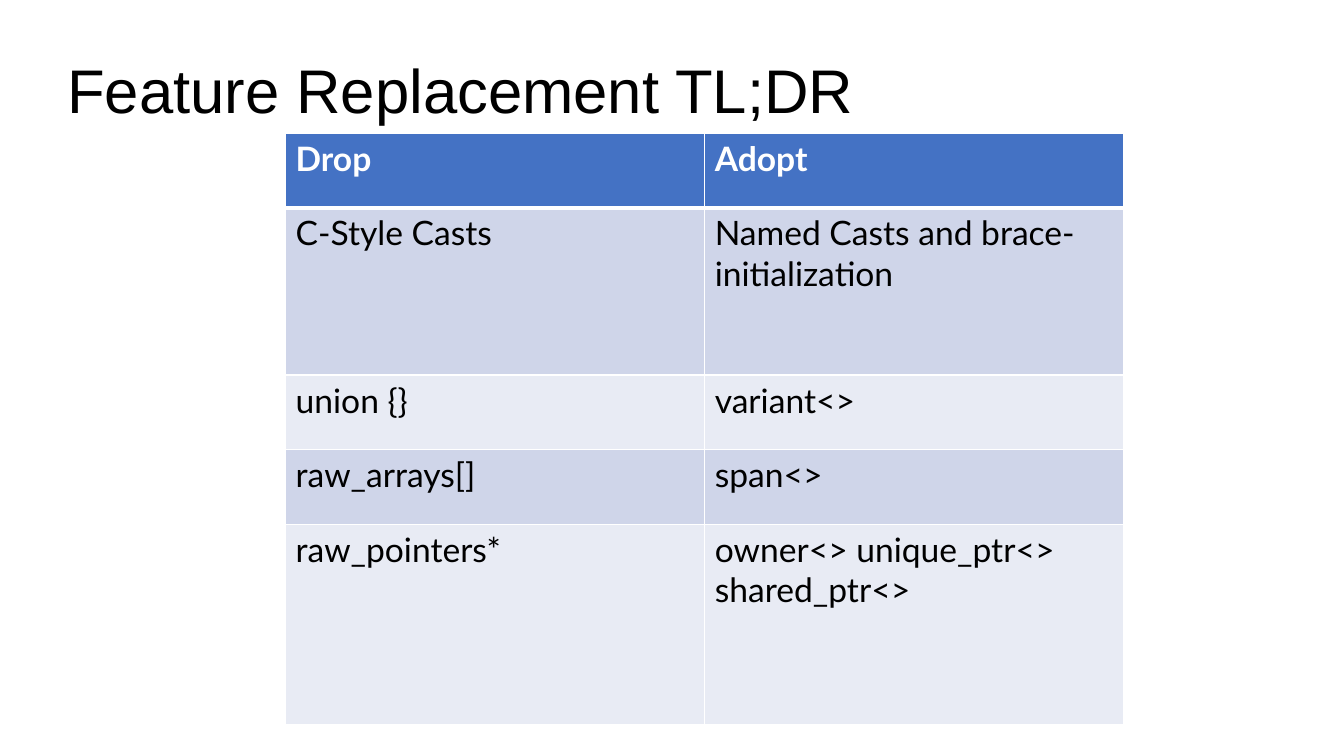
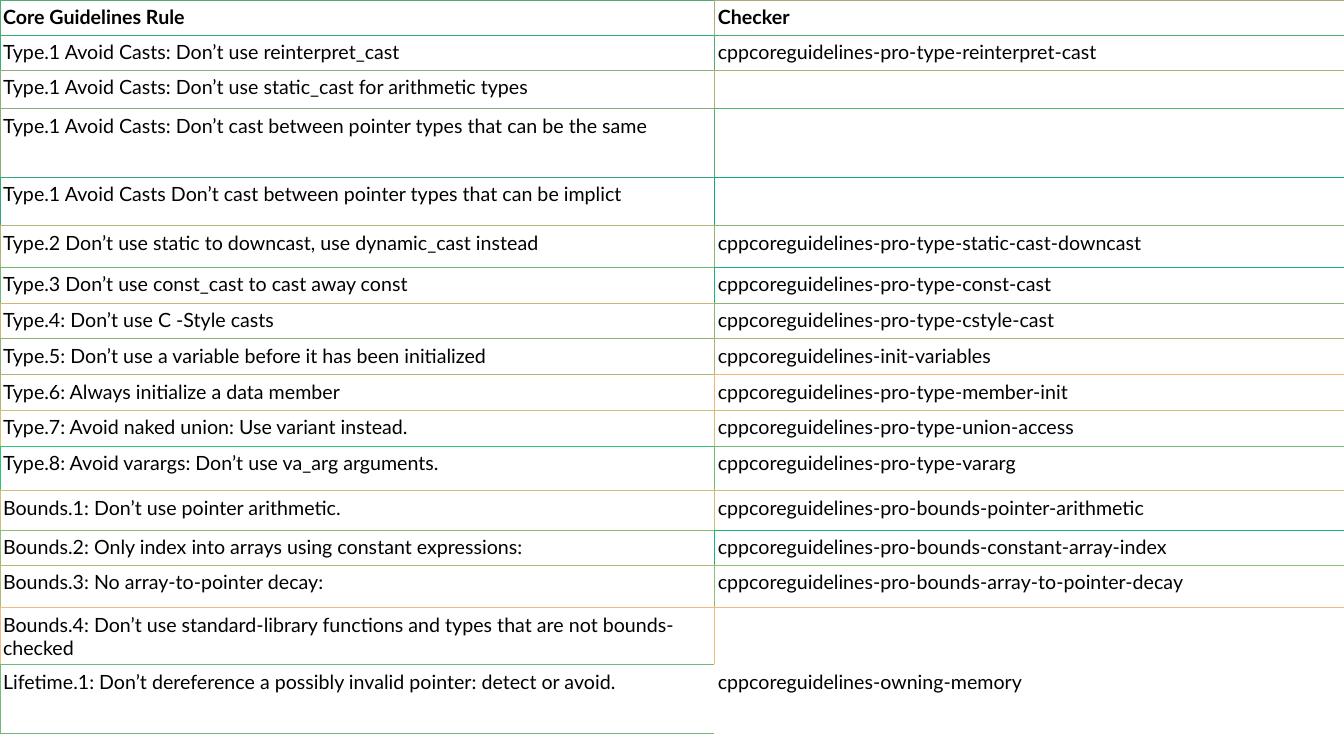
from lxml.etree import SubElement
from pptx import Presentation
from pptx.dml.color import RGBColor
from pptx.enum.text import MSO_ANCHOR, MSO_AUTO_SIZE, PP_ALIGN
from pptx.oxml.ns import qn
from pptx.util import Inches, Pt

COLUMNS, ROWS = 160, 90
SLIDE_WIDTH, SLIDE_HEIGHT = Inches(13.33), Inches(7.5)
TITLE_LAYOUT, BLANK_LAYOUT = 5, 6
TITLE_FONT, TABLE_FONT = "Arial", "Lato"

BLACK = RGBColor(0x00, 0x00, 0x00)
WHITE = RGBColor(0xFF, 0xFF, 0xFF)
HEADER_BLUE = RGBColor(0x44, 0x72, 0xC4)
BAND_DARK = RGBColor(0xCF, 0xD5, 0xE9)
BAND_LIGHT = RGBColor(0xE8, 0xEB, 0xF4)

REPLACEMENTS = [
    (8.9, "Drop", "Adopt"),
    (19.9, "C-Style Casts", "Named Casts and brace-initialization"),
    (8.9, "union {}", "variant<>"),
    (8.9, "raw_arrays[]", "span<>"),
    (23.8, "raw_pointers*", "owner<> unique_ptr<> shared_ptr<>"),
]

CHECKERS = [
    (4.2, "Core Guidelines Rule", "Checker"),
    (4.2, "Type.1 Avoid Casts: Don’t use reinterpret_cast",
     "cppcoreguidelines-pro-type-reinterpret-cast"),
    (4.56, "Type.1 Avoid Casts: Don’t use static_cast for arithmetic types", ""),
    (8.16, "Type.1 Avoid Casts: Don’t cast between pointer types that can be the same", ""),
    (5.76, "Type.1 Avoid Casts Don’t cast between pointer types that can be implict", ""),
    (4.92, "Type.2 Don’t use static to downcast, use dynamic_cast instead",
     "cppcoreguidelines-pro-type-static-cast-downcast"),
    (4.32, "Type.3 Don’t use const_cast to cast away const",
     "cppcoreguidelines-pro-type-const-cast"),
    (4.2, "Type.4: Don’t use C -Style casts", "cppcoreguidelines-pro-type-cstyle-cast"),
    (4.32, "Type.5: Don’t use a variable before it has been initialized",
     "cppcoreguidelines-init-variables"),
    (4.2, "Type.6: Always initialize a data member",
     "cppcoreguidelines-pro-type-member-init"),
    (4.32, "Type.7: Avoid naked union: Use variant instead.",
     "cppcoreguidelines-pro-type-union-access"),
    (5.28, "Type.8: Avoid varargs: Don’t use va_arg arguments.",
     "cppcoreguidelines-pro-type-vararg"),
    (4.68, "Bounds.1: Don’t use pointer arithmetic.",
     "cppcoreguidelines-pro-bounds-pointer-arithmetic"),
    (4.2, "Bounds.2: Only index into arrays using constant expressions:",
     "cppcoreguidelines-pro-bounds-constant-array-index"),
    (5.04, "Bounds.3: No array-to-pointer decay:",
     "cppcoreguidelines-pro-bounds-array-to-pointer-decay"),
    (6.72, "Bounds.4: Don’t use standard-library functions and types "
     "that are not bounds-checked", ""),
    (8.16, "Lifetime.1: Don’t dereference a possibly invalid pointer: detect or avoid.",
     "cppcoreguidelines-owning-memory"),
]

RULE_EDGES = [RGBColor.from_string(tint + "76") for tint in (
    "50AC 30B1 90AE 90AB 30AA B0B7 70B6 D0B5 90B1 "
    "B0B2 D0BF 30C1 D0BE 90BD B0BC F0BD 70BA").split()]
CHECKER_EDGES = [RGBColor.from_string(tint + "76") for tint in (
    "B0AA 50AC B0AF 50B0 10AA 90B4 10B9 90B2 B0B1 "
    "F0B6 D0C0 70BA D0BE 10BA 90C0 F0BB").split()] + [WHITE]
EDGE_GRID = list(zip(RULE_EDGES, CHECKER_EDGES))


def across(columns):
    return round(SLIDE_WIDTH * columns / COLUMNS)


def down(rows):
    return round(SLIDE_HEIGHT * rows / ROWS)


def write_text(text_frame, text, *, size, font=TABLE_FONT, color=BLACK,
               bold=False, line_spacing=None):
    paragraph = text_frame.paragraphs[0]
    paragraph.alignment = PP_ALIGN.LEFT
    paragraph.line_spacing = line_spacing
    run = paragraph.add_run()
    run.text = text
    run.font.name = font
    run.font.size = Pt(size)
    run.font.bold = bold
    run.font.color.rgb = color


def set_title(slide, text, left, top, width, height):
    title = slide.shapes.title
    title.left, title.top = across(left), down(top)
    title.width, title.height = across(width), down(height)
    frame = title.text_frame
    frame.margin_left = frame.margin_right = frame.margin_top = frame.margin_bottom = 0
    frame.vertical_anchor = MSO_ANCHOR.MIDDLE
    frame.word_wrap = True
    frame.auto_size = MSO_AUTO_SIZE.NONE
    write_text(frame, text, size=44, font=TITLE_FONT, line_spacing=0.9)


def set_borders(cell, borders):
    properties = cell._tc.get_or_add_tcPr()
    for side, (color, width) in zip("LRTB", borders):
        line = SubElement(properties, qn(f"a:ln{side}"), w=str(Pt(width)))
        fill = SubElement(line, qn("a:solidFill"))
        SubElement(fill, qn("a:srgbClr"), val=str(color))


def add_grid(slide, left, top, widths, content, *, size, header_color, borders,
             fill=None, margins=None):
    heights = [row[0] for row in content]
    table = slide.shapes.add_table(
        len(content), len(widths), across(left), down(top),
        across(sum(widths)), down(sum(heights))).table
    table.horz_banding = False
    for column, width in zip(table.columns, widths):
        column.width = across(width)
    for row_index, (height, *texts) in enumerate(content):
        table.rows[row_index].height = down(height)
        is_header = row_index == 0
        for column_index, text in enumerate(texts):
            cell = table.cell(row_index, column_index)
            if margins:
                cell.margin_left = cell.margin_right = Inches(margins[0])
                cell.margin_top = cell.margin_bottom = Inches(margins[1])
            set_borders(cell, borders(row_index, column_index))
            if fill:
                cell.fill.solid()
                cell.fill.fore_color.rgb = fill(row_index)
            else:
                cell.fill.background()
            write_text(cell.text_frame, text, size=size, bold=is_header,
                       color=header_color if is_header else BLACK)


def band_fill(row):
    if row == 0:
        return HEADER_BLUE
    return BAND_DARK if row % 2 else BAND_LIGHT


def white_borders(row, column):
    thin, thick = (WHITE, 0.96), (WHITE, 3)
    return thin, thin, thick if row == 1 else thin, thick if row == 0 else thin


def tinted_borders(row, column):
    own = EDGE_GRID[row][column]
    right = EDGE_GRID[row][-1]
    below = EDGE_GRID[min(row + 1, len(EDGE_GRID) - 1)][column]
    return [(color, 0.75) for color in (own, right, own, below)]


def add_replacement_slide(presentation):
    slide = presentation.slides.add_slide(presentation.slide_layouts[TITLE_LAYOUT])
    set_title(slide, "Feature Replacement TL;DR", 8, 3.6, 144, 15)
    add_grid(slide, 34, 15.84, (49.9, 49.9), REPLACEMENTS, size=24,
             header_color=WHITE, borders=white_borders, fill=band_fill)


def add_checker_slide(presentation):
    slide = presentation.slides.add_slide(presentation.slide_layouts[BLANK_LAYOUT])
    add_grid(slide, 0, 0, (85.1, 74.9), CHECKERS, size=14, header_color=BLACK,
             borders=tinted_borders, margins=(0.03, 0.05))


def main():
    presentation = Presentation()
    presentation.slide_width, presentation.slide_height = SLIDE_WIDTH, SLIDE_HEIGHT
    add_replacement_slide(presentation)
    add_checker_slide(presentation)
    presentation.save("out.pptx")


if __name__ == "__main__":
    main()
